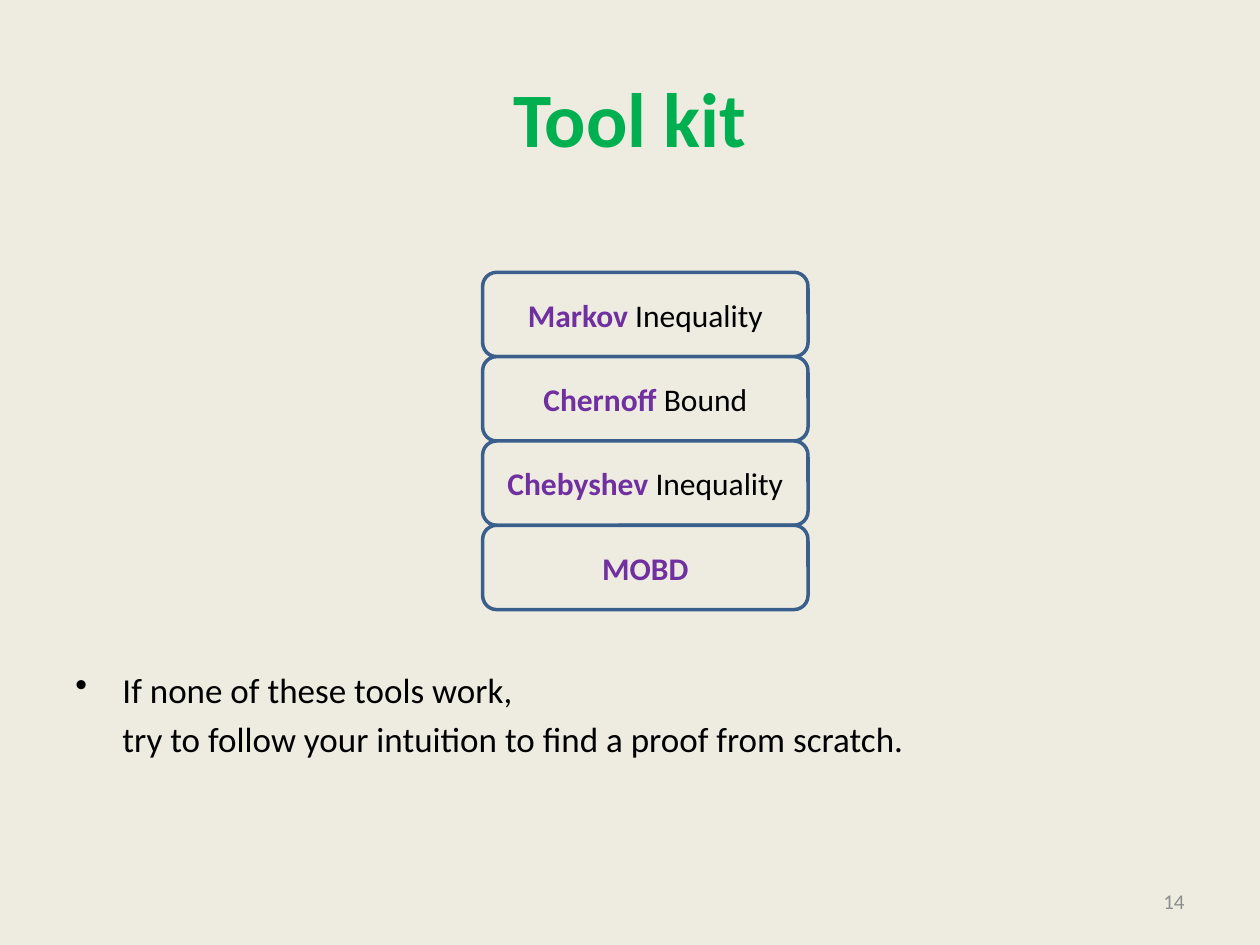
from lxml import etree
from pptx import Presentation
from pptx.dml.color import RGBColor
from pptx.enum.shapes import MSO_SHAPE
from pptx.enum.text import MSO_ANCHOR, PP_ALIGN
from pptx.oxml.ns import qn
from pptx.util import Cm, Pt

ROUNDED = MSO_SHAPE.ROUNDED_RECTANGLE
TOP, MIDDLE = MSO_ANCHOR.TOP, MSO_ANCHOR.MIDDLE
LEFT, CENTER, RIGHT = PP_ALIGN.LEFT, PP_ALIGN.CENTER, PP_ALIGN.RIGHT

# Content
TITLE = "Tool kit"
TOOLS = [("Markov", " Inequality"), ("Chernoff", " Bound"),
         ("Chebyshev", " Inequality"), ("MOBD", "")]
ADVICE = ["If none of these tools work,",
          "try to follow your intuition to find a proof from scratch."]
PAGE = "14"

FONT = "Calibri"
PAPER, GREEN, PURPLE = "EEECE1", "00B050", "7030A0"
BLACK, GREY, BLUE = "000000", "8C8C8C", "3A5F8C"

# Layout in centimetres
MARGIN, WIDTH = 1.27, 22.86
TOOL_LEFT, TOOL_TOP, TOOL_WIDTH, TOOL_HEIGHT = 9.73, 5.49, 6.56, 1.7
INDENT = 0.95


def color(value):
    return RGBColor.from_string(value)


def style(run, size, shade, bold=False):
    run.font.name = FONT
    run.font.size = Pt(size)
    run.font.bold = bold
    run.font.color.rgb = color(shade)


def add_text(slide, box, lines, size, shade, align, anchor, bold=False):
    frame = slide.shapes.add_textbox(*map(Cm, box)).text_frame
    frame.word_wrap = True
    frame.vertical_anchor = anchor
    frame.text = "\n".join(lines)
    for paragraph in frame.paragraphs:
        paragraph.alignment = align
        style(paragraph.runs[0], size, shade, bold)
    return frame


def indent(paragraph, first_line):
    properties = paragraph._p.get_or_add_pPr()
    properties.set("marL", str(Cm(INDENT)))
    properties.set("indent", str(Cm(first_line)))
    return properties


def add_tool(slide, row, name, kind):
    tool = slide.shapes.add_shape(
        ROUNDED, Cm(TOOL_LEFT), Cm(TOOL_TOP + row * TOOL_HEIGHT),
        Cm(TOOL_WIDTH), Cm(TOOL_HEIGHT))
    tool.shadow.inherit = False
    tool.fill.solid()
    tool.fill.fore_color.rgb = color(PAPER)
    tool.line.color.rgb = color(BLUE)
    tool.line.width = Pt(2)
    tool.text_frame.vertical_anchor = MIDDLE
    label = tool.text_frame.paragraphs[0]
    label.alignment = CENTER
    for text, shade, bold in ((name, PURPLE, True), (kind, BLACK, False)):
        if text:
            run = label.add_run()
            run.text = text
            style(run, 18, shade, bold)


def main():
    deck = Presentation()
    deck.slide_width, deck.slide_height = Cm(25.4), Cm(19.05)
    slide = deck.slides.add_slide(deck.slide_layouts[6])
    slide.background.fill.solid()
    slide.background.fill.fore_color.rgb = color(PAPER)

    # Title
    add_text(slide, (MARGIN, 0.76, WIDTH, 3.18), [TITLE], 44, GREEN,
             CENTER, MIDDLE, bold=True)

    # Stack of tools
    for row, (name, kind) in enumerate(TOOLS):
        add_tool(slide, row, name, kind)

    # Advice: a bullet and its continuation line
    advice = add_text(slide, (MARGIN, 13.35, WIDTH, 2.2), ADVICE, 20, BLACK,
                      LEFT, TOP)
    opening, continuation = advice.paragraphs
    bullet = etree.SubElement(indent(opening, -INDENT), qn("a:buChar"))
    bullet.set("char", "•")
    indent(continuation, 0)
    continuation.space_before = Pt(4)

    # Page number
    add_text(slide, (18.2, 17.66, 5.93, 1.01), [PAGE], 12, GREY, RIGHT, MIDDLE)

    deck.save("out.pptx")


if __name__ == "__main__":
    main()
